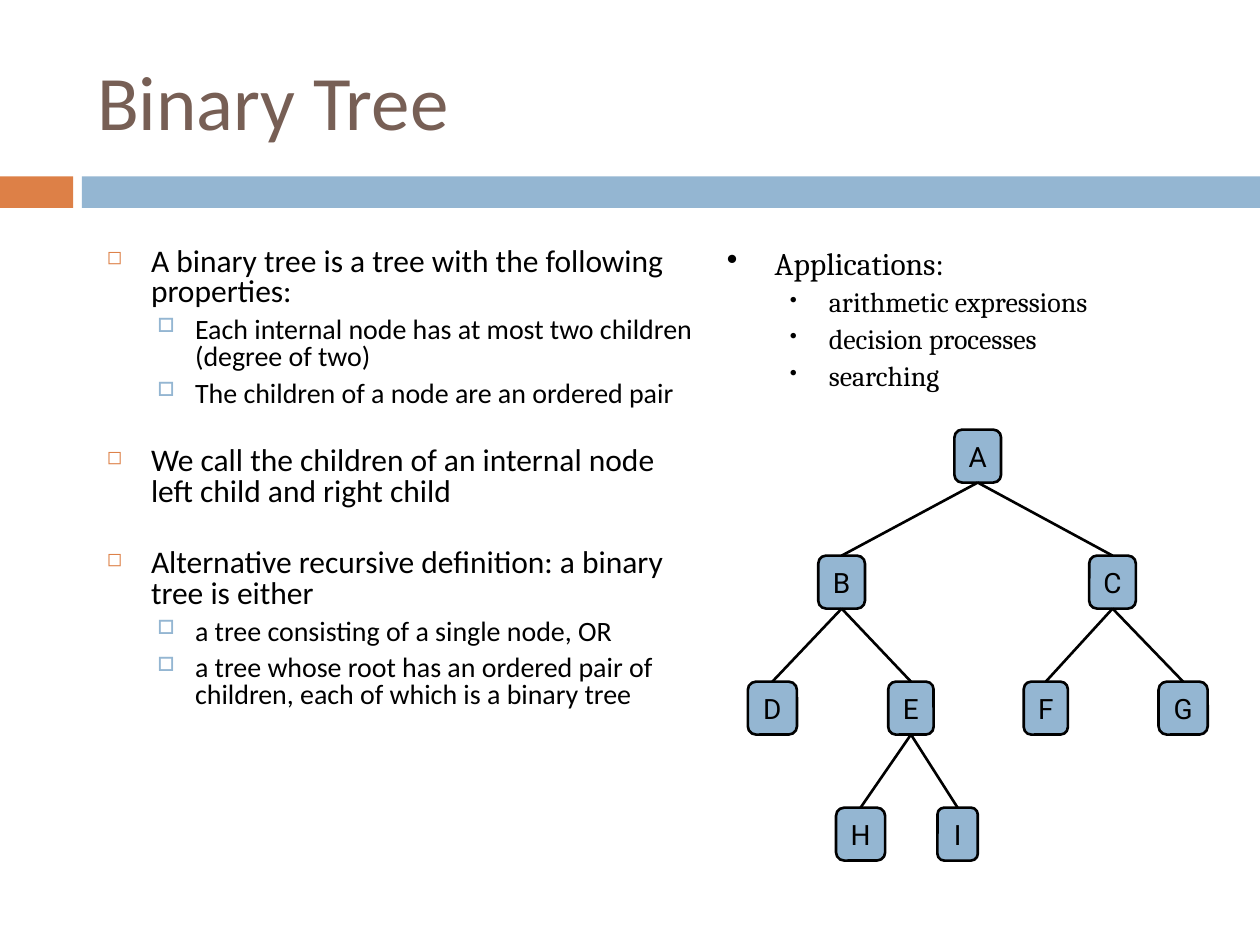
from dataclasses import dataclass

from lxml.etree import SubElement
from pptx import Presentation
from pptx.dml.color import RGBColor
from pptx.enum.shapes import MSO_CONNECTOR as Connector, MSO_SHAPE as Shape
from pptx.enum.text import MSO_ANCHOR as Anchor, MSO_AUTO_SIZE as AutoSize, PP_ALIGN as Align
from pptx.oxml.ns import qn
from pptx.util import Inches, Pt


@dataclass(frozen=True)
class Theme:
    brown: str = "775F55"
    orange: str = "DD8047"
    blue: str = "94B6D2"
    black: str = "000000"
    body_font: str = "Calibri"
    side_font: str = "Cambria"
    node_font: str = "Roboto"
    title_size: float = 44
    text_size: float = 18
    detail_size: float = 16
    line_width: float = 1.5


THEME = Theme()


@dataclass(frozen=True)
class BulletStyle:
    character: str
    color: str
    percent: int
    indent: float
    hanging: float
    size: float
    space_before: float


@dataclass(frozen=True)
class Item:
    text: str
    level: int = 0
    extra_gap: float = 0


@dataclass(frozen=True)
class Node:
    label: str
    center: float
    depth: int
    width: float
    parent: str = ""


BODY_STYLES = (
    BulletStyle("◻", THEME.orange, 60, 0.35, 0.35, THEME.text_size, 7),
    BulletStyle("□", THEME.blue, 70, 0.7, 0.3, THEME.detail_size, 5.5),
)
SIDE_STYLES = (
    BulletStyle("•", THEME.black, 100, 0.38, 0.38, THEME.text_size, 3.7),
    BulletStyle("•", THEME.black, 75, 0.81, 0.31, THEME.detail_size, 3.7),
)
BODY_ITEMS = (
    Item("A binary tree is a tree with the following properties:"),
    Item("Each internal node has at most two children (degree of two)", 1),
    Item("The children of a node are an ordered pair", 1),
    Item("We call the children of an internal node left child and right child", extra_gap=15.3),
    Item("Alternative recursive definition: a binary tree is either", extra_gap=16.8),
    Item("a tree consisting of a single node, OR", 1),
    Item("a tree whose root has an ordered pair of children, each of which is a binary tree", 1),
)
SIDE_ITEMS = (
    Item("Applications:"),
    Item("arithmetic expressions", 1),
    Item("decision processes", 1),
    Item("searching", 1),
)
NODES = (
    Node("A", 7.76, 0, 0.37),
    Node("B", 6.68, 1, 0.37, "A"),
    Node("C", 8.83, 1, 0.37, "A"),
    Node("D", 6.13, 2, 0.39, "B"),
    Node("E", 7.23, 2, 0.36, "B"),
    Node("F", 8.3, 2, 0.35, "C"),
    Node("G", 9.39, 2, 0.39, "C"),
    Node("H", 6.83, 3, 0.39, "E"),
    Node("I", 7.6, 3, 0.32, "E"),
)
TREE_TOP, LEVEL_STEP, NODE_HEIGHT = 3.41, 1.0, 0.42


def add_text(paragraph, text: str, *, font: str, size: float, color: str) -> None:
    run = paragraph.add_run()
    run.text = text
    run.font.name = font
    run.font.size = Pt(size)
    run.font.color.rgb = RGBColor.from_string(color)


def set_bullet(paragraph, style: BulletStyle) -> None:
    properties = paragraph._p.get_or_add_pPr()
    properties.set("marL", str(Inches(style.indent)))
    properties.set("indent", str(-Inches(style.hanging)))
    color = SubElement(properties, qn("a:buClr"))
    SubElement(color, qn("a:srgbClr"), val=style.color)
    SubElement(properties, qn("a:buSzPct"), val=str(style.percent * 1000))
    SubElement(properties, qn("a:buChar"), char=style.character)


def add_bullets(slide, box, items, styles, *, font: str, line_spacing: float) -> None:
    frame = slide.shapes.add_textbox(*map(Inches, box)).text_frame
    frame.word_wrap = True
    for index, item in enumerate(items):
        style = styles[item.level]
        paragraph = frame.add_paragraph() if index else frame.paragraphs[0]
        paragraph.level = item.level
        paragraph.line_spacing = line_spacing
        paragraph.space_before = Pt(style.space_before + item.extra_gap if index else 0)
        set_bullet(paragraph, style)
        add_text(paragraph, item.text, font=font, size=style.size, color=THEME.black)


def add_filled_shape(slide, kind, box, color: str):
    shape = slide.shapes.add_shape(kind, *map(Inches, box))
    shape.shadow.inherit = False
    shape.fill.solid()
    shape.fill.fore_color.rgb = RGBColor.from_string(color)
    shape.line.fill.background()
    return shape


def set_line(line) -> None:
    line.color.rgb = RGBColor.from_string(THEME.black)
    line.width = Pt(THEME.line_width)


def add_node(slide, node: Node):
    box = (node.center - node.width / 2, TREE_TOP + node.depth * LEVEL_STEP,
           node.width, NODE_HEIGHT)
    shape = add_filled_shape(slide, Shape.ROUNDED_RECTANGLE, box, THEME.blue)
    set_line(shape.line)
    frame = shape.text_frame
    frame.word_wrap = False
    frame.vertical_anchor = Anchor.MIDDLE
    frame.margin_left = frame.margin_right = frame.margin_top = frame.margin_bottom = 0
    paragraph = frame.paragraphs[0]
    paragraph.alignment = Align.CENTER
    add_text(paragraph, node.label, font=THEME.node_font,
             size=THEME.detail_size, color=THEME.black)
    return shape


def add_branch(slide, parent, child) -> None:
    """Join the bottom of the parent to the top of the child."""
    branch = slide.shapes.add_connector(Connector.STRAIGHT, 0, 0, 0, 0)
    branch.begin_connect(parent, 2)
    branch.end_connect(child, 0)
    set_line(branch.line)
    SubElement(branch._element.spPr, qn("a:effectLst"))


def add_tree(slide, nodes) -> None:
    shapes = {}
    for node in nodes:
        shapes[node.label] = add_node(slide, node)
        if node.parent:
            add_branch(slide, shapes[node.parent], shapes[node.label])


def set_title(slide, text: str) -> None:
    title = slide.shapes.title
    title.left, title.top, title.width, title.height = map(Inches, (0.67, 0.25, 8.92, 1.08))
    frame = title.text_frame
    frame.auto_size = AutoSize.NONE
    frame.vertical_anchor = Anchor.MIDDLE
    paragraph = frame.paragraphs[0]
    paragraph.alignment = Align.LEFT
    add_text(paragraph, text, font=THEME.body_font, size=THEME.title_size, color=THEME.brown)


def main() -> None:
    presentation = Presentation()
    presentation.slide_width, presentation.slide_height = Inches(10), Inches(7.5)
    slide = presentation.slides.add_slide(presentation.slide_layouts[5])
    add_filled_shape(slide, Shape.RECTANGLE, (0, 1.4, 0.58, 0.25), THEME.orange)
    add_filled_shape(slide, Shape.RECTANGLE, (0.65, 1.4, 9.35, 0.25), THEME.blue)
    set_title(slide, "Binary Tree")
    add_bullets(slide, (0.75, 1.92, 4.92, 4.67), BODY_ITEMS, BODY_STYLES,
                font=THEME.body_font, line_spacing=0.8)
    add_bullets(slide, (5.67, 1.92, 3.58, 1.67), SIDE_ITEMS, SIDE_STYLES,
                font=THEME.side_font, line_spacing=0.9)
    add_tree(slide, NODES)
    presentation.save("out.pptx")


if __name__ == "__main__":
    main()
